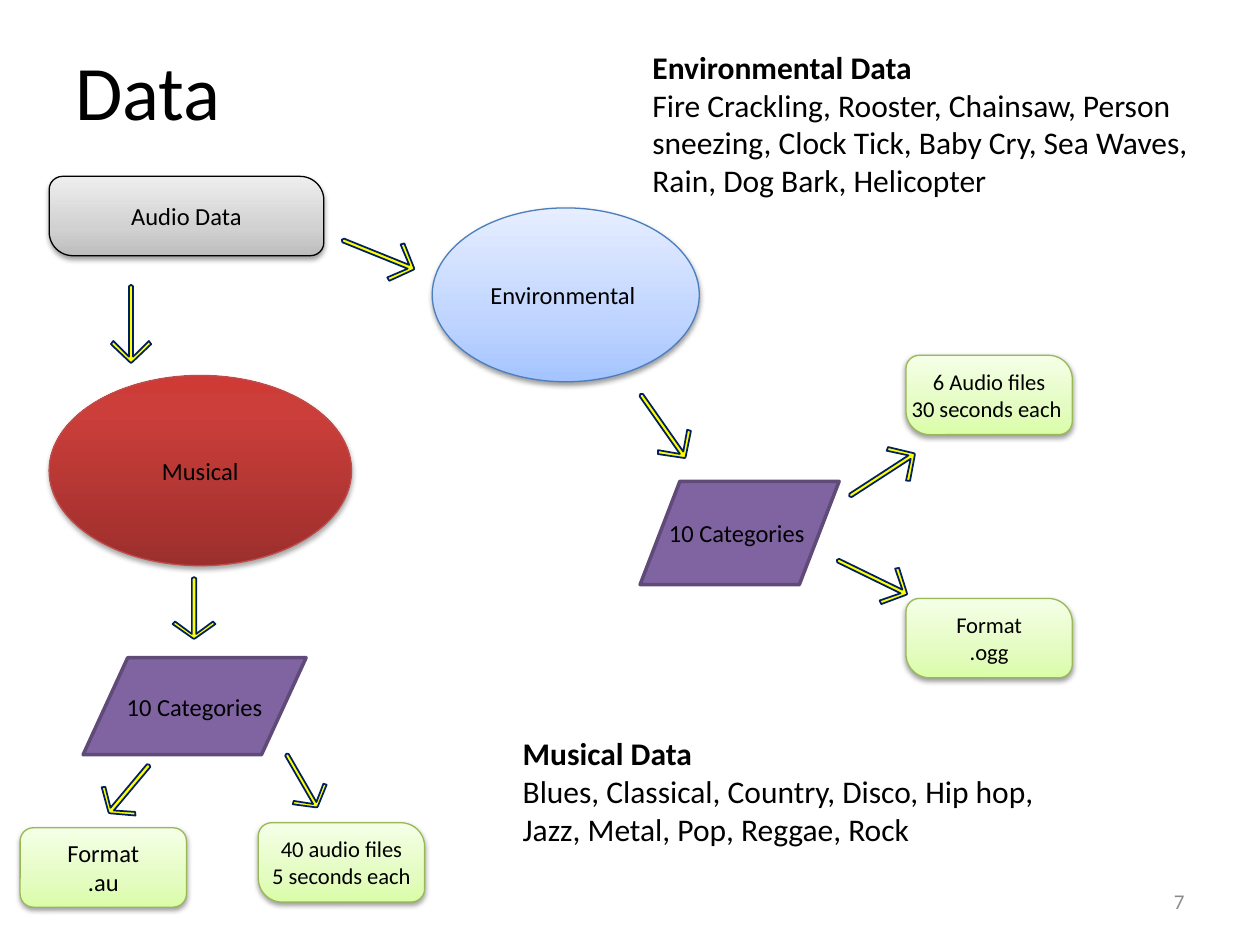
import copy
import dataclasses

import lxml.etree
import pptx
import pptx.dml.color
import pptx.enum.shapes
import pptx.enum.text
import pptx.oxml.ns
import pptx.util

SHAPES = pptx.enum.shapes.MSO_SHAPE
ALIGN = pptx.enum.text.PP_ALIGN
ANCHOR = pptx.enum.text.MSO_ANCHOR
qn = pptx.oxml.ns.qn


@dataclasses.dataclass(frozen=True)
class Paint:
    stops: tuple
    line: str
    width: float = 0.75
    shadow: tuple = ()


@dataclasses.dataclass(frozen=True)
class Theme:
    font: str = "Calibri"
    ink: str = "000000"
    muted: str = "8C8C8C"
    title: float = 44
    body: float = 18
    label: float = 14
    small: float = 12.9
    number: float = 12
    soft: tuple = (38, 1.6)
    deep: tuple = (35, 1.8)
    grey: Paint = Paint(((0, "BDBDBD"), (35, "D1D1D1"), (100, "EEEEEE")), "000000", shadow=soft)
    blue: Paint = Paint(((0, "A4C4FF"), (35, "BFD4FF"), (100, "E6EEFF")), "4B7EBC", shadow=soft)
    red: Paint = Paint(((0, "9C2F2D"), (80, "CB3E3A"), (100, "CE3B37")), "BF4C48", shadow=deep)
    green: Paint = Paint(((0, "DAFDA7"), (35, "E4FCC2"), (100, "F5FFE7")), "98B955", shadow=soft)
    purple: Paint = Paint(((0, "8064A2"),), "5F4A78", 2)
    arrow: Paint = Paint(((0, "FFFF00"),), "002060", 1)


THEME = Theme()
COLUMNS, ROWS = 100, 75
CELL = pptx.util.Inches(0.1)
ARROW_SIDE = ((0.53, 0.01), (1, 0.24), (0.94, 0.28), (0.55, 0.08), (0.55, 0.98))
ARROW_OUTLINE = (
    ((0.5, 0),) + ARROW_SIDE + ((0.5, 1),)
    + tuple((1 - x, y) for x, y in reversed(ARROW_SIDE))
)


def rgb(value):
    return pptx.dml.color.RGBColor.from_string(value)


def cells(*counts):
    return [round(count * CELL) for count in counts]


def paint_shape(shape, paint):
    shape.line.color.rgb = rgb(paint.line)
    shape.line.width = pptx.util.Pt(paint.width)
    shape.shadow.inherit = False
    if len(paint.stops) == 1:
        shape.fill.solid()
        shape.fill.fore_color.rgb = rgb(paint.stops[0][1])
    else:
        shape.fill.gradient()
        shape.fill.gradient_angle = 90
        stop_list = shape._element.spPr.find(".//" + qn("a:gsLst"))
        while len(stop_list) < len(paint.stops):
            stop_list.append(copy.deepcopy(stop_list[0]))
        for stop, (position, color) in zip(shape.fill.gradient_stops, paint.stops):
            stop.position = position / 100
            stop.color.rgb = rgb(color)
    if paint.shadow:
        add_shadow(shape, *paint.shadow)


def add_shadow(shape, opacity, distance):
    effects = shape._element.spPr.find(qn("a:effectLst"))
    shadow = lxml.etree.SubElement(
        effects, qn("a:outerShdw"), blurRad=str(pptx.util.Pt(3.1)),
        dist=str(pptx.util.Pt(distance)), dir="5400000", rotWithShape="0")
    color = lxml.etree.SubElement(shadow, qn("a:srgbClr"), val="000000")
    lxml.etree.SubElement(color, qn("a:alpha"), val=str(opacity * 1000))


def set_text(box, text, size, color=THEME.ink, align=ALIGN.LEFT,
             anchor=ANCHOR.MIDDLE, wrap=True, bold_first=False):
    frame = box.text_frame
    frame.text = text
    frame.word_wrap = wrap
    frame.vertical_anchor = anchor
    for index, para in enumerate(frame.paragraphs):
        para.alignment = align
        for span in para.runs:
            span.font.name = THEME.font
            span.font.size = pptx.util.Pt(size)
            span.font.color.rgb = rgb(color)
            span.font.bold = bold_first and index == 0


def add_text(page, place, text, size, **options):
    box = page.shapes.add_textbox(*cells(*place))
    set_text(box, text, size, **options)


def add_node(page, kind, place, text, paint, size=THEME.label):
    node = page.shapes.add_shape(kind, *cells(*place))
    if kind == SHAPES.ROUND_2_DIAG_RECTANGLE:
        node.adjustments[0], node.adjustments[1] = 0.167, 0.3
    paint_shape(node, paint)
    set_text(node, text, size, align=ALIGN.CENTER, wrap=False)


def add_arrow(page, place, angle):
    left, top, width, height = cells(*place)
    points = [(round(left + x * width), round(top + y * height)) for x, y in ARROW_OUTLINE]
    builder = page.shapes.build_freeform(*points[0], scale=1.0)
    builder.add_line_segments(points[1:], close=True)
    arrow = builder.convert_to_shape()
    arrow.rotation = angle
    paint_shape(arrow, THEME.arrow)


def main():
    deck = pptx.Presentation()
    deck.slide_width, deck.slide_height = cells(COLUMNS, ROWS)
    page = deck.slides.add_slide(deck.slide_layouts[6])

    add_text(page, (5, 0.9, 90, 12.5), "Data", THEME.title)
    add_text(page, (71.7, 69.5, 23.3, 4), "7", THEME.number,
             color=THEME.muted, align=ALIGN.RIGHT)

    diagonal = SHAPES.ROUND_2_DIAG_RECTANGLE
    add_node(page, diagonal, (3.9, 14, 21.8, 6.3), "Audio Data", THEME.grey)
    for place, text in (
        ((6.6, 52.2, 17.7, 7.7), "10 Categories"),
        ((50.8, 38.2, 15.8, 8.2), "10 Categories "),
    ):
        add_node(page, SHAPES.FLOWCHART_DATA, place, text, THEME.purple)
    add_node(page, SHAPES.OVAL, (34.3, 16.5, 21.2, 13.8), "Environmental ", THEME.blue)
    add_node(page, SHAPES.OVAL, (3.9, 29.8, 24, 15.1), "Musical", THEME.red)

    for kind, left, top, text, size in (
        (diagonal, 71.9, 47.5, "Format\n.ogg", THEME.small),
        (diagonal, 71.9, 28.2, "6 Audio files\n30 seconds each ", THEME.small),
        (diagonal, 20.5, 65.3, "40 audio files\n5 seconds each", THEME.small),
        (SHAPES.FLOWCHART_ALTERNATE_PROCESS, 1.6, 65.7, "Format\n.au", THEME.label),
    ):
        add_node(page, kind, (left, top, 13.2, 6.3), text, THEME.green, size)

    for place, angle in (
        ((8.8, 22.6, 3.2, 6.2), 180),
        ((67.6, 42.7, 3.2, 6.2), 116),
        ((28.4, 17.1, 3.2, 6.2), 112),
        ((51, 30.7, 3.2, 6.2), 145),
        ((13.7, 45.8, 3.4, 4.9), 180),
        ((8.5, 60.1, 3.5, 5), 220),
        ((22.4, 59.5, 3.1, 4.9), 150),
        ((68.4, 34.6, 3.2, 6.2), 57),
    ):
        add_arrow(page, place, angle)

    for place, text in (
        ((50.8, 3.3, 47.6, 13.1),
         "Environmental Data\nFire Crackling, Rooster, Chainsaw, Person sneezing, "
         "Clock Tick, Baby Cry, Sea Waves, Rain, Dog Bark, Helicopter"),
        ((40.5, 57.8, 47.6, 10.1),
         "Musical Data\nBlues, Classical, Country, Disco, Hip hop, "
         "Jazz, Metal, Pop, Reggae, Rock"),
    ):
        add_text(page, place, text, THEME.body, anchor=ANCHOR.TOP, bold_first=True)

    deck.save("out.pptx")


main()
